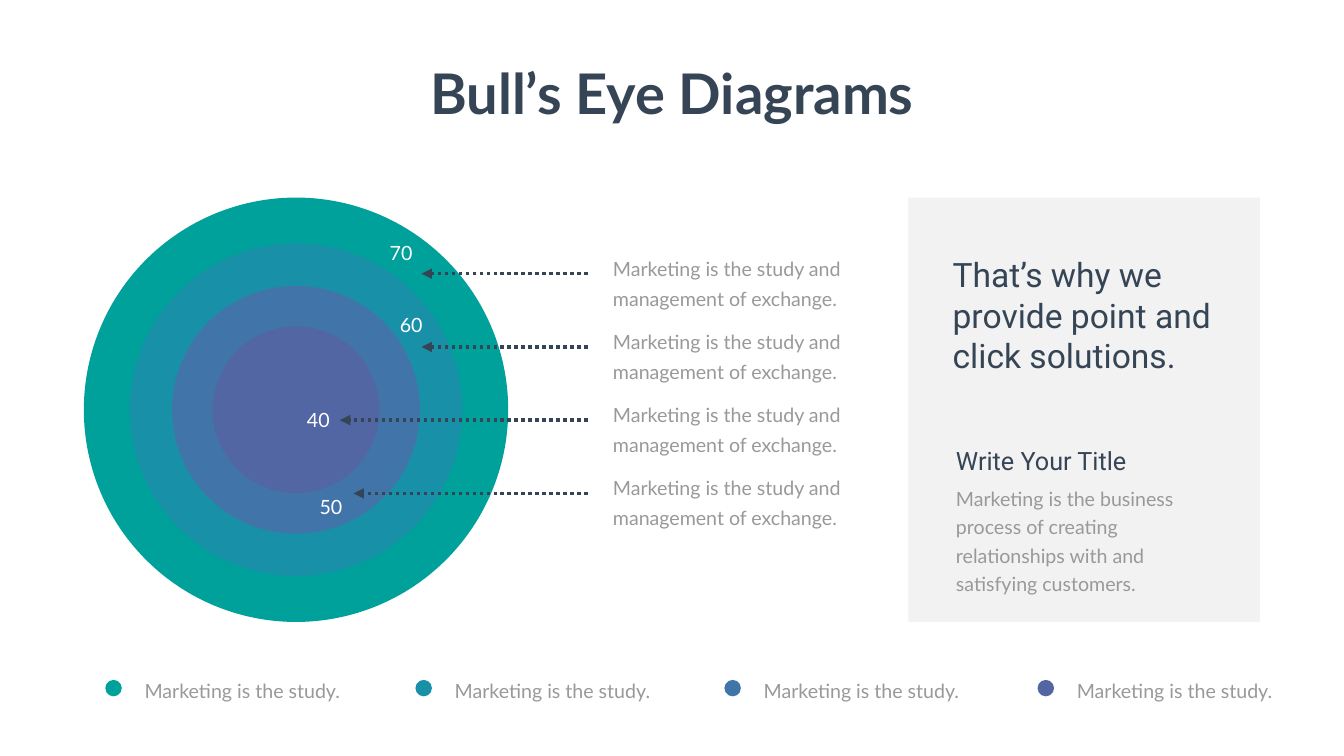
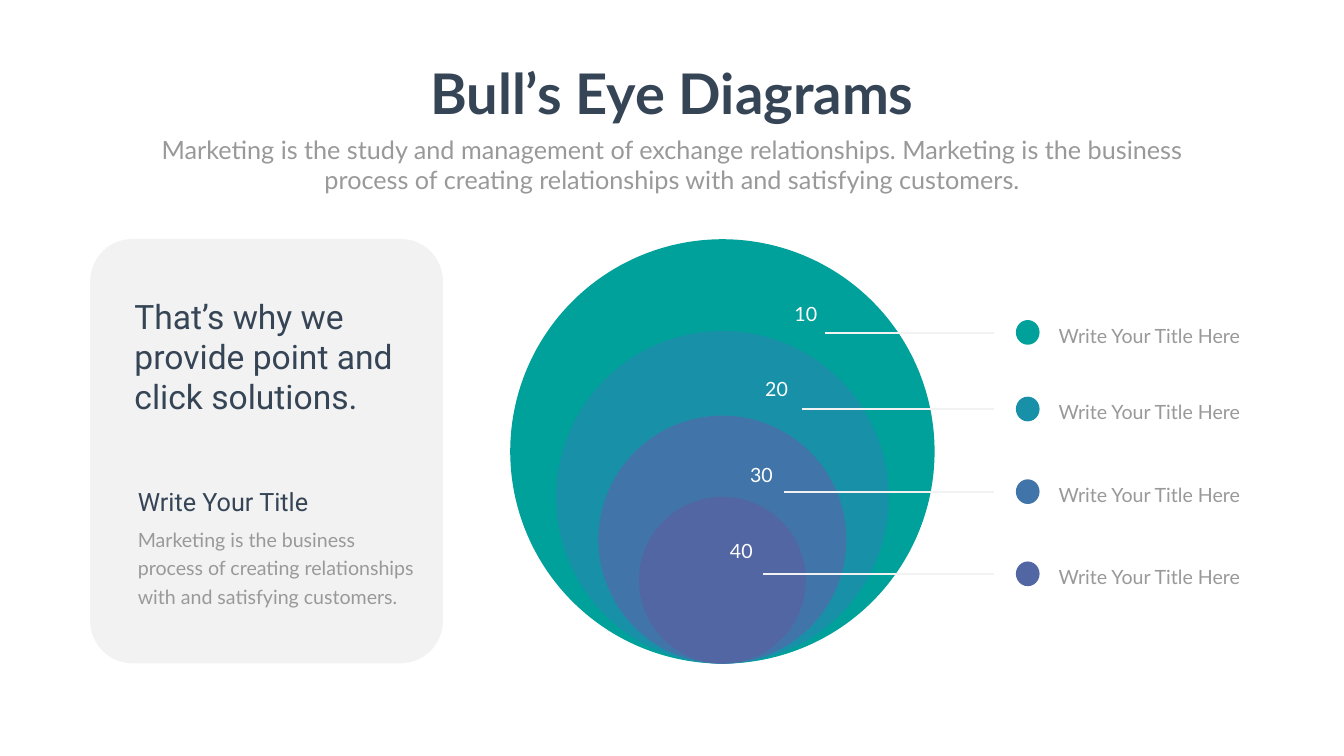
from lxml import etree
from pptx import Presentation
from pptx.dml.color import RGBColor
from pptx.enum.dml import MSO_LINE
from pptx.enum.shapes import MSO_CONNECTOR, MSO_SHAPE
from pptx.enum.text import MSO_AUTO_SIZE, PP_ALIGN
from pptx.oxml.ns import qn
from pptx.util import Inches, Pt

OVAL, RECT, ROUNDED = MSO_SHAPE.OVAL, MSO_SHAPE.RECTANGLE, MSO_SHAPE.ROUNDED_RECTANGLE
STRAIGHT, DOTTED = MSO_CONNECTOR.STRAIGHT, MSO_LINE.ROUND_DOT
LEFT, CENTER = PP_ALIGN.LEFT, PP_ALIGN.CENTER
GROW = MSO_AUTO_SIZE.SHAPE_TO_FIT_TEXT

NAVY = RGBColor(0x36, 0x45, 0x56)
GRAY = RGBColor(0x99, 0x99, 0x99)
PANEL_GRAY = RGBColor(0x80, 0x80, 0x80)
PALE = RGBColor(0xF2, 0xF2, 0xF2)
WHITE = RGBColor(0xFF, 0xFF, 0xFF)
TEAL = RGBColor(0x00, 0xA1, 0x9B)
CYAN = RGBColor(0x18, 0x91, 0xA8)
BLUE = RGBColor(0x41, 0x75, 0xAA)
INDIGO = RGBColor(0x51, 0x66, 0xA3)
RING_COLORS = (TEAL, CYAN, BLUE, INDIGO)
RING_SIZES = (25.26, 19.8, 14.76, 9.93)

prs = Presentation()
prs.slide_width, prs.slide_height = Inches(26.66), Inches(15)
COL, ROW = prs.slide_width / 80, prs.slide_height / 45


def write(slide, text, x, y, w, h, size=28, color=GRAY, font="Lato",
          align=LEFT, bold=False, spacing=None, wrap=True):
    box = slide.shapes.add_textbox(int(x * COL), int(y * ROW), int(w * COL), int(h * ROW))
    frame = box.text_frame
    frame.word_wrap = wrap
    frame.auto_size = GROW
    line = frame.paragraphs[0]
    line.text = text
    line.alignment = align
    line.font.size = Pt(size)
    line.font.name = font
    line.font.bold = bold
    line.font.color.rgb = color
    if spacing:
        line.line_spacing = Pt(spacing)


def draw(slide, kind, x, y, w, h, color):
    shape = slide.shapes.add_shape(kind, int(x * COL), int(y * ROW), int(w * COL), int(h * ROW))
    shape.shadow.inherit = False
    shape.fill.solid()
    shape.fill.fore_color.rgb = color
    shape.line.fill.background()
    return shape


blank = prs.slide_layouts[6]
centered, stacked = prs.slides.add_slide(blank), prs.slides.add_slide(blank)

for slide, kind, left, top, width, body_width in (
    (centered, RECT, 54.07, 11.76, 20.92, 16.83),
    (stacked, ROUNDED, 5.37, 14.22, 21, 17.04),
):
    write(slide, "Bull’s Eye Diagrams", 25.03, 3.36, 29.95, 4.35, 80, NAVY,
          align=CENTER, bold=True, wrap=False)
    panel = draw(slide, kind, left, top, width, RING_SIZES[0], PANEL_GRAY)
    if kind == ROUNDED:
        panel.adjustments[0] = 0.12
    tint = panel._element.spPr.find(qn("a:solidFill"))[0]
    etree.SubElement(tint, qn("a:alpha"), val="10000")
    write(slide, "That’s why we provide point and click solutions.",
          left + 2.34, top + 3.22, 17.04, 7.56, 48, NAVY, "Roboto")
    write(slide, "Write Your Title", left + 2.54, top + 14.59, 13.83, 2.13, 36, NAVY, "Roboto")
    write(slide, "Marketing is the business process of creating relationships "
          "with and satisfying customers.",
          left + 2.54, top + 16.75, body_width, 5.31, spacing=40.8)

write(stacked, "Marketing is the study and management of exchange relationships. "
      "Marketing is the business process of creating relationships with and "
      "satisfying customers.", 8.76, 7.83, 62.48, 3.93, 36, align=CENTER)

for size, color in zip(RING_SIZES, RING_COLORS):
    draw(centered, OVAL, 17.62 - size / 2, 24.39 - size / 2, size, size, color)
    draw(stacked, OVAL, 43 - size / 2, 39.5 - size, size, size, color)

CALLOUT_TOP, CALLOUT_PITCH = 16.29, 4.36
callouts = []
for row, (tip, score, score_x, score_y) in enumerate((
    (25.09, "70", 22.6, 14.19),
    (25.09, "60", 23.2, 18.48),
    (20.23, "40", 17.67, 24.12),
    (21.04, "50", 18.42, 29.31),
)):
    y = CALLOUT_TOP + row * CALLOUT_PITCH
    callouts.append((centered, 34.99, tip, y, score, score_x, score_y))
    write(centered, "Marketing is the study and management of exchange.",
          36.19, y - 1.56, 15.51, 3.72, spacing=43)

for color, (y, tip, score, score_x, score_y) in zip(RING_COLORS, (
    (19.05, 49.09, "10", 46.69, 17.85),
    (23.61, 47.74, "20", 44.95, 22.29),
    (28.53, 46.69, "30", 44.05, 27.39),
    (33.42, 45.4, "40", 42.85, 31.95),
)):
    callouts.append((stacked, 59.15, tip, y + 0.75, score, score_x, score_y))
    draw(stacked, OVAL, 60.47, y, 1.41, 1.47, color)
    write(stacked, "Write Your Title Here", 62.72, y - 0.33, 11.94, 1.92, spacing=43)

for slide, start, tip, y, score, score_x, score_y in callouts:
    leader = slide.shapes.add_connector(
        STRAIGHT, int(start * COL), int(y * ROW), int(tip * COL), int(y * ROW))
    leader.line.color.rgb = NAVY if slide is centered else PALE
    leader.line.width = Pt(5 if slide is centered else 3)
    properties = leader._element.spPr
    if slide is centered:
        leader.line.dash_style = DOTTED
        etree.SubElement(properties.find(qn("a:ln")), qn("a:tailEnd"), type="triangle")
    etree.SubElement(properties, qn("a:effectLst"))
    write(slide, score, score_x, score_y, 2.55, 1.71, color=WHITE, align=CENTER)

for x, color in zip((6.27, 24.73, 43.12, 61.76), RING_COLORS):
    draw(centered, OVAL, x, 40.47, 0.98, 0.98, color)
    write(centered, "Marketing is the study.", x + 2.04, 39.9, 12.72, 1.92, spacing=43)

prs.save("out.pptx")
